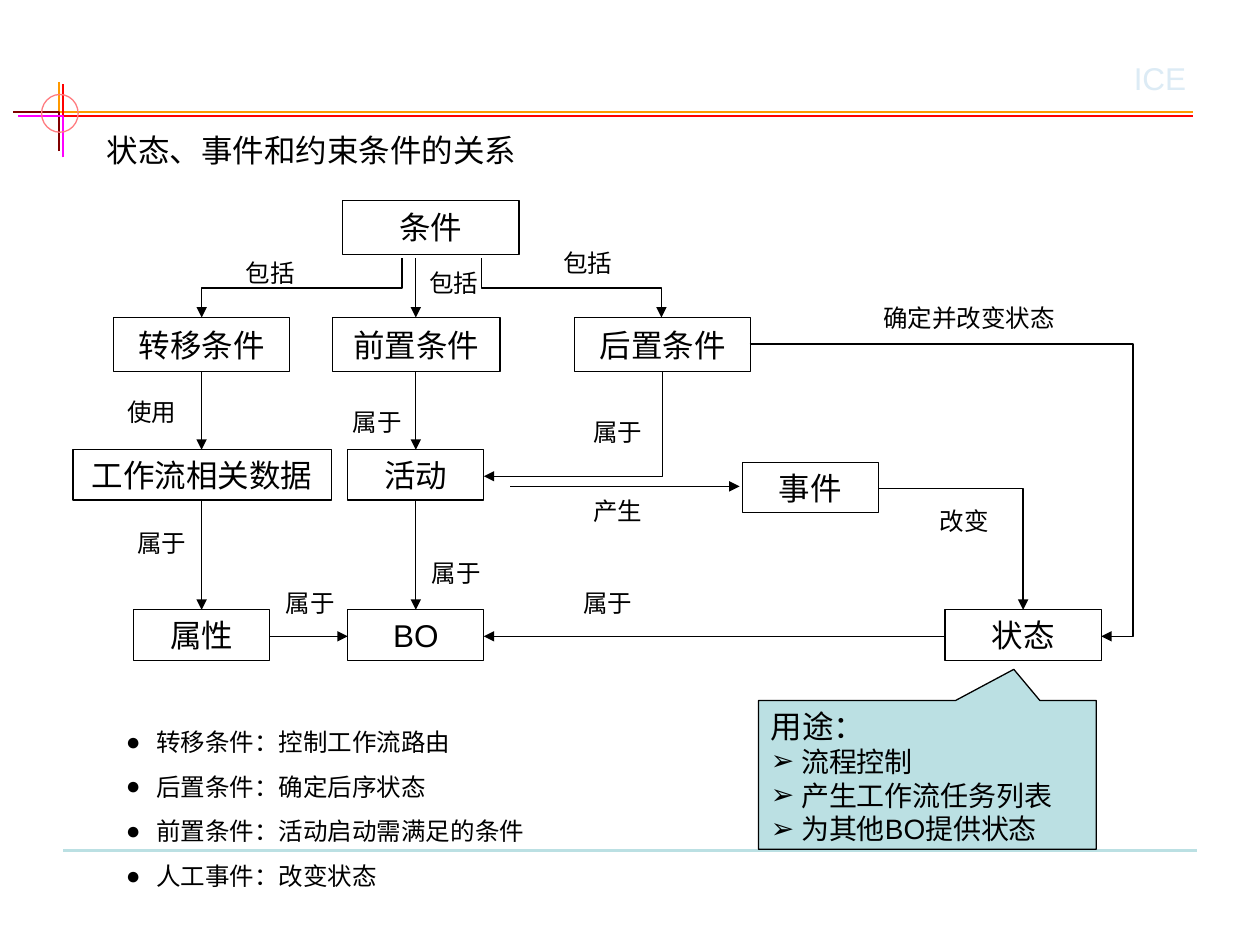
from dataclasses import dataclass

from lxml.etree import SubElement
from pptx import Presentation
from pptx.dml.color import RGBColor
from pptx.enum.shapes import MSO_CONNECTOR as LINK, MSO_SHAPE as SHAPE
from pptx.enum.text import MSO_ANCHOR as ANCHOR, PP_ALIGN as ALIGN
from pptx.oxml.ns import qn
from pptx.util import Inches, Pt


@dataclass(frozen=True)
class Theme:
    font: str = "Arial"
    ink: str = "000000"
    accent: str = "BBE0E3"
    mark: str = "DCEBF5"
    orange: str = "FF9900"
    red: str = "FF0000"
    maroon: str = "800000"
    magenta: str = "FF00FF"
    ring: str = "FF7C80"
    heading: int = 18
    use: int = 16
    label: int = 14
    thin: float = 0.75
    rule: float = 1.5


class Board:
    def __init__(self, slide, theme):
        self.shapes = slide.shapes
        self.theme = theme

    def outline(self, item, color, width):
        item.line.color.rgb = RGBColor.from_string(color)
        item.line.width = Pt(width)

    def style(self, paragraph, size, color=None, align=ALIGN.LEFT):
        paragraph.alignment = align
        font = paragraph.font
        font.name, font.size = self.theme.font, Pt(size)
        font.color.rgb = RGBColor.from_string(color or self.theme.ink)

    def bullet(self, paragraph, symbol):
        props = paragraph._p.get_or_add_pPr()
        props.set("marL", str(Inches(0.24)))
        props.set("indent", str(-Inches(0.24)))
        color = SubElement(props, qn("a:buClr"))
        SubElement(color, qn("a:srgbClr"), val=self.theme.ink)
        SubElement(props, qn("a:buFont"), typeface=self.theme.font)
        SubElement(props, qn("a:buChar"), char=symbol)

    def shape(self, kind, left, top, width, height, color, fill=None):
        item = self.shapes.add_shape(kind, *map(Inches, (left, top, width, height)))
        item.shadow.inherit = False
        if fill:
            item.fill.solid()
            item.fill.fore_color.rgb = RGBColor.from_string(fill)
        else:
            item.fill.background()
        self.outline(item, color, self.theme.thin)
        return item

    def node(self, text, left, top, width, height):
        frame = self.shape(SHAPE.RECTANGLE, left, top, width, height, self.theme.ink).text_frame
        frame.text = text
        frame.word_wrap = False
        frame.vertical_anchor = ANCHOR.MIDDLE
        self.style(frame.paragraphs[0], self.theme.heading, align=ALIGN.CENTER)

    def text(self, text, left, top, width, height, size, color=None, wrap=False):
        box = self.shapes.add_textbox(*map(Inches, (left, top, width, height)))
        frame = box.text_frame
        frame.text = text
        frame.word_wrap = wrap
        for paragraph in frame.paragraphs:
            self.style(paragraph, size, color)
        return frame

    def polyline(self, points, color):
        start, *rest = [tuple(map(Inches, point)) for point in points]
        builder = self.shapes.build_freeform(*start, scale=1.0)
        builder.add_line_segments(rest, close=False)
        item = builder.convert_to_shape()
        item.shadow.inherit = False
        item.fill.background()
        self.outline(item, color, self.theme.rule)

    def line(self, start, end, color, width, kind=LINK.STRAIGHT):
        item = self.shapes.add_connector(kind, *map(Inches, (*start, *end)))
        self.outline(item, color, width)
        SubElement(item._element.spPr, qn("a:effectLst"))
        return item

    def arrow(self, start, end, kind=LINK.STRAIGHT):
        item = self.line(start, end, self.theme.ink, self.theme.thin, kind)
        SubElement(item.line._get_or_add_ln(), qn("a:tailEnd"), type="triangle")
        return item

    def elbow(self, start, end, preset, bend=None, down_first=False):
        if down_first:
            # The unrotated frame swaps width and height about the same centre
            (x1, y1), (x2, y2) = start, end
            mid_x, mid_y = (x1 + x2) / 2, (y1 + y2) / 2
            half_x, half_y = (x2 - x1) / 2, (y2 - y1) / 2
            start = mid_x - half_y, mid_y + half_x
            end = mid_x + half_y, mid_y - half_x
        props = self.arrow(start, end, LINK.ELBOW)._element.spPr
        if down_first:
            props.find(qn("a:xfrm")).set("rot", str(90 * 60000))
        geometry = props.find(qn("a:prstGeom"))
        geometry.set("prst", preset)
        if bend is not None:
            guides = geometry.find(qn("a:avLst"))
            SubElement(guides, qn("a:gd"), name="adj1", fmla=f"val {round(bend * 100000)}")


def main():
    theme = Theme()
    deck = Presentation()
    deck.slide_width, deck.slide_height = Inches(10), Inches(7.5)
    board = Board(deck.slides.add_slide(deck.slide_layouts[6]), theme)

    # Page frame
    board.polyline([(0.47, 0.65), (0.47, 0.89), (9.47, 0.89)], theme.orange)
    board.line((0.5, 6.75), (9.5, 6.75), theme.accent, theme.rule)
    board.polyline([(0.5, 0.67), (0.5, 0.92), (9.47, 0.92)], theme.red)
    board.polyline([(0.47, 1.2), (0.47, 0.89), (0.1, 0.89)], theme.maroon)
    board.polyline([(0.5, 1.25), (0.5, 0.92), (0.14, 0.92)], theme.magenta)
    board.shape(SHAPE.OVAL, 0.33, 0.75, 0.29, 0.3, theme.ring)
    board.text("ICE", 8.9, 0.42, 0.9, 0.4, theme.heading, theme.mark)
    board.text("状态、事件和约束条件的关系", 0.75, 0.99, 3.94, 0.4, theme.heading, wrap=True)

    # Nodes
    for name, left, top, width, height in [
        ("条件", 2.72, 1.59, 1.4, 0.43),
        ("转移条件", 0.9, 2.52, 1.4, 0.43),
        ("前置条件", 2.64, 2.52, 1.33, 0.43),
        ("后置条件", 4.56, 2.52, 1.4, 0.43),
        ("工作流相关数据", 0.58, 3.57, 2.05, 0.4),
        ("活动", 2.76, 3.57, 1.08, 0.4),
        ("事件", 5.89, 3.67, 1.08, 0.4),
        ("属性", 1.06, 4.84, 1.08, 0.4),
        ("BO", 2.76, 4.84, 1.08, 0.4),
        ("状态", 7.5, 4.84, 1.24, 0.4),
    ]:
        board.node(name, left, top, width, height)

    # Straight relations
    for start, end in [
        ((3.3, 2.05), (3.3, 2.52)),
        ((1.6, 2.95), (1.6, 3.57)),
        ((3.3, 2.95), (3.3, 3.57)),
        ((1.6, 3.98), (1.6, 4.84)),
        ((3.3, 3.98), (3.3, 4.84)),
        ((2.14, 5.05), (2.76, 5.05)),
        ((7.5, 5.05), (3.84, 5.05)),
        ((4.05, 3.86), (5.87, 3.86)),
    ]:
        board.arrow(start, end)

    # Bent relations
    board.elbow((3.19, 2.05), (1.6, 2.52), "bentConnector3", 0.5, down_first=True)
    board.elbow((3.82, 2.05), (5.25, 2.52), "bentConnector3", 0.5, down_first=True)
    board.elbow((5.26, 2.95), (3.84, 3.78), "bentConnector2", down_first=True)
    board.elbow((5.95, 2.73), (8.74, 5.05), "bentConnector3", 1.09)
    board.elbow((6.97, 3.88), (8.12, 4.84), "bentConnector2")

    # Relation labels, a little wider than their text so each stays on one line
    for relation, places in {
        "包括": [(1.85, 2), (3.31, 2.08), (4.37, 1.92)],
        "使用": [(0.91, 3.1)],
        "属于": [(2.7, 3.18), (4.61, 3.26), (0.99, 4.14), (3.33, 4.38),
               (2.17, 4.62), (4.53, 4.62)],
        "产生": [(4.61, 3.89)],
        "改变": [(7.36, 3.97)],
        "确定并改变状态": [(6.91, 2.36)],
    }.items():
        width = 0.2 + len(relation) * (theme.label + 0.5) / 72
        for left, top in places:
            board.text(relation, left, top, width, 0.34, theme.label)

    # Explanations
    explanations = board.text(
        "转移条件：控制工作流路由\n后置条件：确定后序状态\n"
        "前置条件：活动启动需满足的条件\n人工事件：改变状态",
        0.9, 5.72, 3.47, 1.4, theme.label, wrap=True)
    for index, explanation in enumerate(explanations.paragraphs):
        if index:
            explanation.space_before = Pt(8.8)
        board.bullet(explanation, "●")
        board.style(explanation, theme.label)

    # Uses of the state
    callout = board.shape(SHAPE.RECTANGULAR_CALLOUT, 6.02, 5.56, 2.68, 1.18,
                          theme.ink, theme.accent)
    callout.adjustments[0], callout.adjustments[1] = 0.256, -0.71
    uses = callout.text_frame
    uses.text = "用途：\n流程控制\n产生工作流任务列表\n为其他BO提供状态"
    uses.word_wrap = True
    uses.vertical_anchor = ANCHOR.TOP
    purpose, *items = uses.paragraphs
    board.style(purpose, theme.heading)
    for use in items:
        board.bullet(use, "➢")
        board.style(use, theme.use)

    deck.save("out.pptx")


if __name__ == "__main__":
    main()
